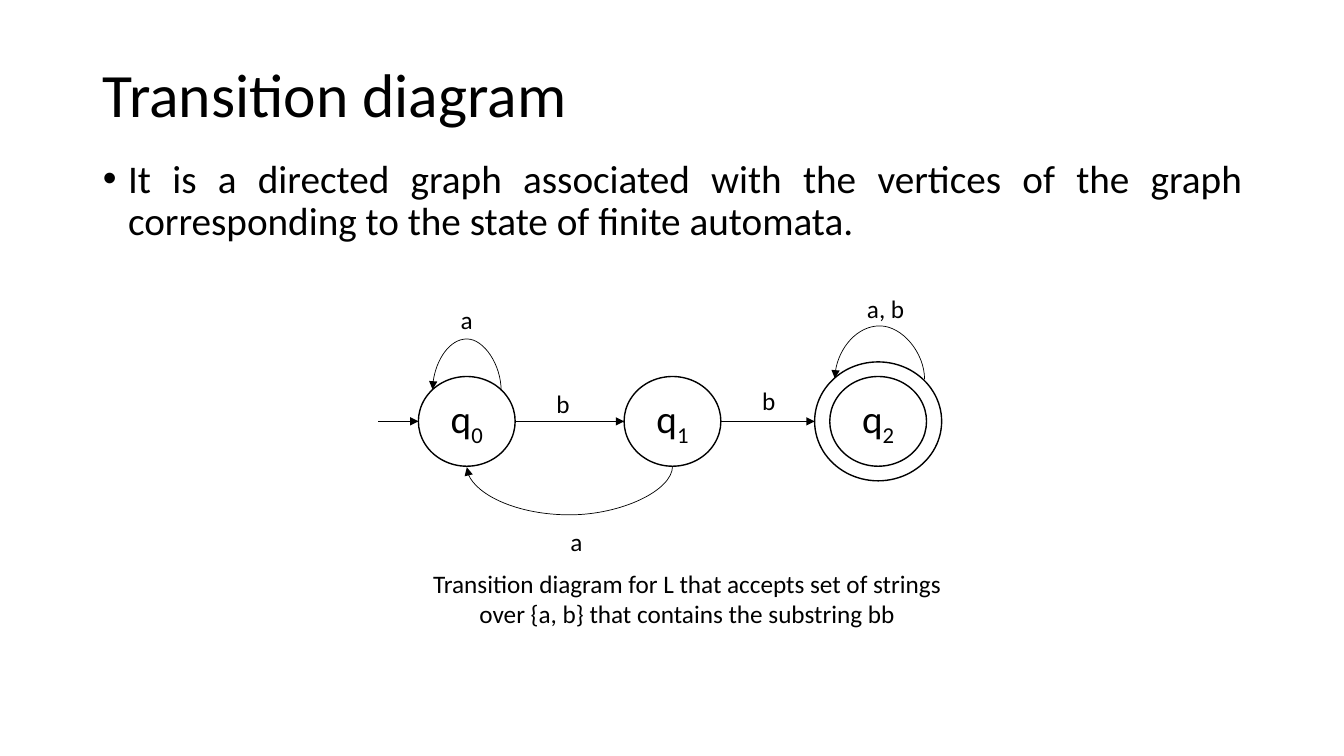
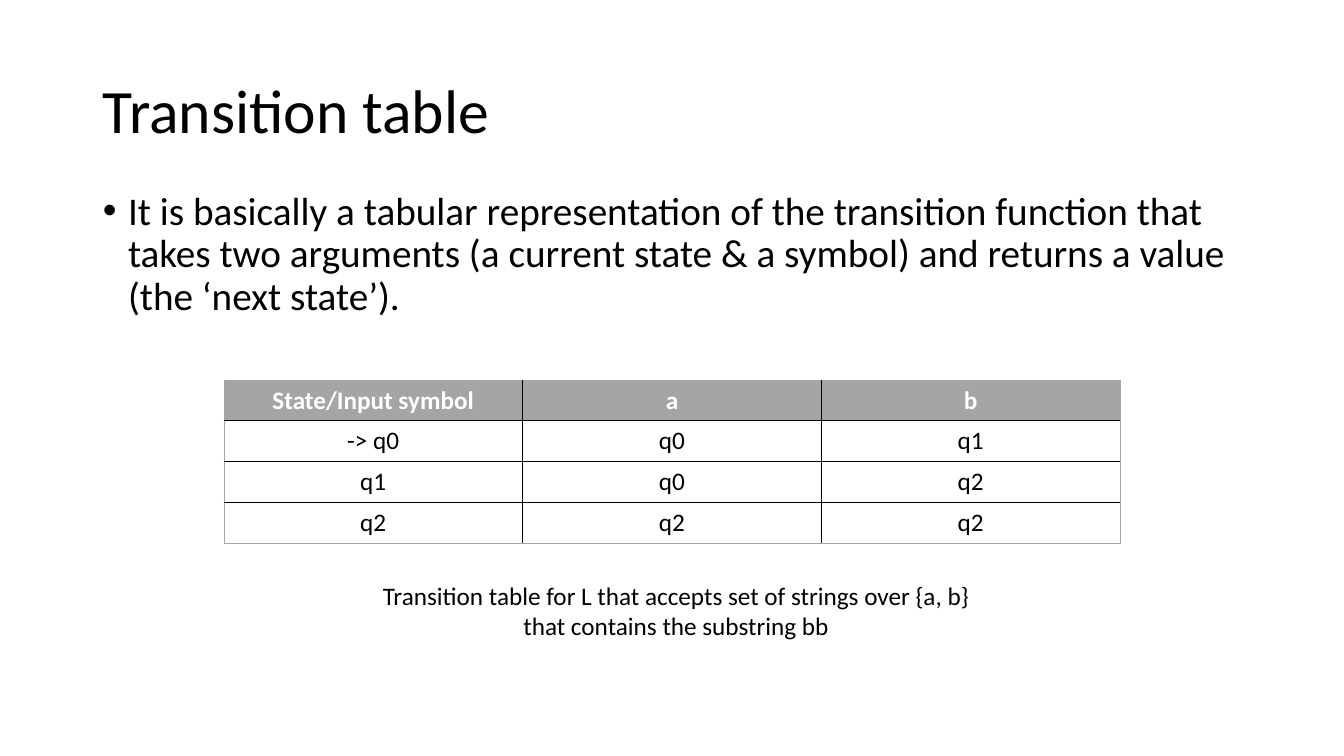
from dataclasses import dataclass

import pptx
import pptx.dml.color
import pptx.enum.shapes
import pptx.enum.text
import pptx.oxml
import pptx.oxml.ns
import pptx.util
from pptx.util import Inches, Pt

RGBColor = pptx.dml.color.RGBColor
ALIGN = pptx.enum.text.PP_ALIGN
ANCHOR = pptx.enum.text.MSO_ANCHOR
AUTO_SIZE = pptx.enum.text.MSO_AUTO_SIZE
CONNECTOR = pptx.enum.shapes.MSO_CONNECTOR
SHAPE = pptx.enum.shapes.MSO_SHAPE
qn = pptx.oxml.ns.qn

BLACK = RGBColor(0x00, 0x00, 0x00)
WHITE = RGBColor(0xFF, 0xFF, 0xFF)
GRAY = RGBColor(0xA5, 0xA5, 0xA5)
FONT = "Calibri"

TITLE_FONT = {"name": FONT, "size": Pt(44)}
BODY_FONT = {"name": FONT, "size": Pt(28)}
SMALL_FONT = {"name": FONT, "size": Pt(18)}
HEADER_FONT = SMALL_FONT | {"bold": True}

MARGIN = 0.92
CONTENT_WIDTH = 11.5
STATE_Y = 4.18
STATE_WIDTH, STATE_HEIGHT = 0.96, 0.89
RING_WIDTH, RING_HEIGHT = 1.26, 1.18
LOOP_DEPTH = 0.01


@dataclass(frozen=True)
class State:
    number: str
    center: float
    final: bool = False


@dataclass(frozen=True)
class Arrow:
    start: tuple[float, float]
    end: tuple[float, float]


@dataclass(frozen=True)
class Loop:
    """A curve from right to left; a negative bulge rises, a positive one hangs."""
    left: float
    right: float
    y: float
    bulge: float


@dataclass(frozen=True)
class Label:
    text: str
    left: float
    top: float
    width: float = 0.47


STATES = [State("0", 4.63), State("1", 6.67), State("2", 8.71, final=True)]
ARROWS = [
    Arrow((3.75, STATE_Y), (4.15, STATE_Y)),
    Arrow((5.11, STATE_Y), (6.19, STATE_Y)),
    Arrow((7.15, STATE_Y), (8.08, STATE_Y)),
]
LOOPS = [
    Loop(4.29, 4.97, 3.87, -0.52),
    Loop(8.28, 9.17, 3.76, -0.54),
    Loop(4.63, 6.67, 4.63, 0.49),
]
LABELS = [
    Label("b", 5.42, 3.8),
    Label("b", 7.46, 3.77),
    Label("a", 5.56, 5.17),
    Label("a, b", 8.5, 2.86, 0.69),
    Label("a", 4.47, 2.97),
]
TABLE_ROWS = [
    ("State/Input symbol", "a", "b"),
    ("-> q0", "q0", "q1"),
    ("q1", "q0", "q2"),
    ("q2", "q2", "q2"),
]


def apply_format(target, values: dict) -> None:
    for name, value in values.items():
        setattr(target, name, value)


def add_span(para, text: str, font: dict, color: RGBColor = BLACK):
    span = para.add_run()
    span.text = text
    apply_format(span.font, font)
    span.font.color.rgb = color
    return span


def place(box, left: float, top: float, width: float, height: float) -> None:
    apply_format(box, {"left": Inches(left), "top": Inches(top),
                       "width": Inches(width), "height": Inches(height)})


def add_content_slide(deck, title: str, body: str, split: float, align: ALIGN):
    """Add a slide whose title ends and whose body starts at the height split."""
    page = deck.slides.add_slide(deck.slide_layouts[1])
    title_box, body_box = page.placeholders
    title_top, body_bottom = 0.4, 6.76
    place(title_box, MARGIN, title_top, CONTENT_WIDTH, split - title_top)
    place(body_box, MARGIN, split, CONTENT_WIDTH, body_bottom - split)
    for box, text, font, anchor, alignment in (
        (title_box, title, TITLE_FONT, ANCHOR.MIDDLE, ALIGN.LEFT),
        (body_box, body, BODY_FONT, ANCHOR.TOP, align),
    ):
        apply_format(box.text_frame, {"word_wrap": True, "auto_size": AUTO_SIZE.NONE,
                                      "vertical_anchor": anchor})
        para = box.text_frame.paragraphs[0]
        apply_format(para, {"alignment": alignment, "line_spacing": 0.9,
                            "space_before": Pt(0)})
        add_span(para, text, font)
    properties = body_box.text_frame.paragraphs[0]._p.get_or_add_pPr()
    properties.set("marL", str(Inches(0.25)))
    properties.set("indent", str(Inches(-0.25)))
    return page


def add_text(page, lines: list[str], left: float, top: float, width: float,
             height: float, align: ALIGN) -> None:
    box = page.shapes.add_textbox(Inches(left), Inches(top), Inches(width), Inches(height))
    frame = box.text_frame
    apply_format(frame, {"word_wrap": True, "auto_size": AUTO_SIZE.SHAPE_TO_FIT_TEXT})
    for index, line in enumerate(lines):
        para = frame.add_paragraph() if index else frame.paragraphs[0]
        para.alignment = align
        add_span(para, line, SMALL_FONT)


def add_circle(page, center: float, width: float, height: float):
    circle = page.shapes.add_shape(
        SHAPE.FLOWCHART_CONNECTOR, Inches(center - width / 2),
        Inches(STATE_Y - height / 2), Inches(width), Inches(height))
    circle.shadow.inherit = False
    circle.fill.solid()
    circle.fill.fore_color.rgb = WHITE
    circle.line.color.rgb = BLACK
    circle.line.width = Pt(1)
    return circle


def add_state(page, state: State) -> None:
    if state.final:
        add_circle(page, state.center, RING_WIDTH, RING_HEIGHT)
    circle = add_circle(page, state.center, STATE_WIDTH, STATE_HEIGHT)
    circle.text_frame.vertical_anchor = ANCHOR.MIDDLE
    para = circle.text_frame.paragraphs[0]
    para.alignment = ALIGN.CENTER
    add_span(para, "q", BODY_FONT)
    subscript = add_span(para, state.number, BODY_FONT)
    subscript._r.get_or_add_rPr().set("baseline", "-25000")


def style_arrow(connector) -> None:
    connector.line.color.rgb = BLACK
    connector.line.width = Pt(0.5)
    line = connector.line._get_or_add_ln()
    line.append(pptx.oxml.parse_xml(
        f'<a:tailEnd {pptx.oxml.ns.nsdecls("a")} type="triangle"/>'))
    connector._element.spPr.append(pptx.oxml.parse_xml(
        f'<a:effectLst {pptx.oxml.ns.nsdecls("a")}/>'))


def add_arrow(page, arrow: Arrow) -> None:
    points = [Inches(value) for value in (*arrow.start, *arrow.end)]
    style_arrow(page.shapes.add_connector(CONNECTOR.STRAIGHT, *points))


def add_loop(page, loop: Loop) -> None:
    """Turn a thin curved connector by a quarter and push its middle out to the bulge."""
    span = loop.right - loop.left
    left = (loop.left + loop.right - LOOP_DEPTH) / 2
    top = loop.y - span / 2
    curve = page.shapes.add_connector(
        CONNECTOR.CURVE, Inches(left), Inches(top),
        Inches(left + LOOP_DEPTH), Inches(top + span))
    rises = loop.bulge < 0
    transform = curve._element.spPr.find(qn("a:xfrm"))
    transform.set("rot", str((270 if rises else 90) * 60000))
    if rises:
        transform.set("flipV", "1")
    geometry = curve._element.spPr.find(qn("a:prstGeom"))
    for guides in geometry.findall(qn("a:avLst")):
        geometry.remove(guides)
    adjustment = round(abs(loop.bulge) / LOOP_DEPTH * 100000)
    geometry.append(pptx.oxml.parse_xml(
        f'<a:avLst {pptx.oxml.ns.nsdecls("a")}>'
        f'<a:gd name="adj1" fmla="val {adjustment}"/></a:avLst>'))
    style_arrow(curve)


def add_border(cell, side: str, color: RGBColor, width: float) -> None:
    cell._tc.get_or_add_tcPr().append(pptx.oxml.parse_xml(
        f'<a:ln{side} {pptx.oxml.ns.nsdecls("a")} w="{Pt(width)}">'
        f'<a:solidFill><a:srgbClr val="{color}"/></a:solidFill></a:ln{side}>'))


def add_transition_table(page) -> None:
    row_count, column_count = len(TABLE_ROWS), len(TABLE_ROWS[0])
    table = page.shapes.add_table(row_count, column_count, Inches(2.22), Inches(3.77),
                                  Inches(8.89), Inches(1.62)).table
    for row, texts in enumerate(TABLE_ROWS):
        for column, text in enumerate(texts):
            cell = table.cell(row, column)
            outer_sides = {"L": column == 0, "R": column == column_count - 1,
                           "T": row == 0, "B": row == row_count - 1}
            for side, outer in outer_sides.items():
                add_border(cell, side, *((GRAY, 0.5) if outer else (BLACK, 1)))
            header = row == 0
            cell.fill.solid()
            cell.fill.fore_color.rgb = GRAY if header else WHITE
            para = cell.text_frame.paragraphs[0]
            para.alignment = ALIGN.CENTER
            add_span(para, text, HEADER_FONT if header else SMALL_FONT,
                     WHITE if header else BLACK)


def build_diagram_slide(deck) -> None:
    page = add_content_slide(
        deck, "Transition diagram",
        "It is a directed graph associated with the vertices of the graph "
        "corresponding to the state of finite automata.", 1.53, ALIGN.JUSTIFY)
    for state in STATES:
        add_state(page, state)
    for arrow in ARROWS:
        add_arrow(page, arrow)
    for loop in LOOPS:
        add_loop(page, loop)
    for label in LABELS:
        add_text(page, [label.text], label.left, label.top, label.width, 0.4, ALIGN.LEFT)
    add_text(page, ["Transition diagram for L that accepts set of strings "
                    "over {a, b} that contains the substring bb"],
             4.02, 5.59, 5.59, 0.71, ALIGN.CENTER)


def build_table_slide(deck) -> None:
    page = add_content_slide(
        deck, "Transition table",
        "It is basically a tabular representation of the transition function that "
        "takes two arguments (a current state & a symbol) and returns a value "
        "(the ‘next state’).", 1.85, ALIGN.LEFT)
    add_transition_table(page)
    add_text(page, ["Transition table for L that accepts set of strings over {a, b}",
                    "that contains the substring bb"],
             2.26, 5.71, 8.89, 0.71, ALIGN.CENTER)


def main() -> None:
    deck = pptx.Presentation()
    deck.slide_width, deck.slide_height = Inches(13.33), Inches(7.5)
    build_diagram_slide(deck)
    build_table_slide(deck)
    deck.save("out.pptx")


if __name__ == "__main__":
    main()
